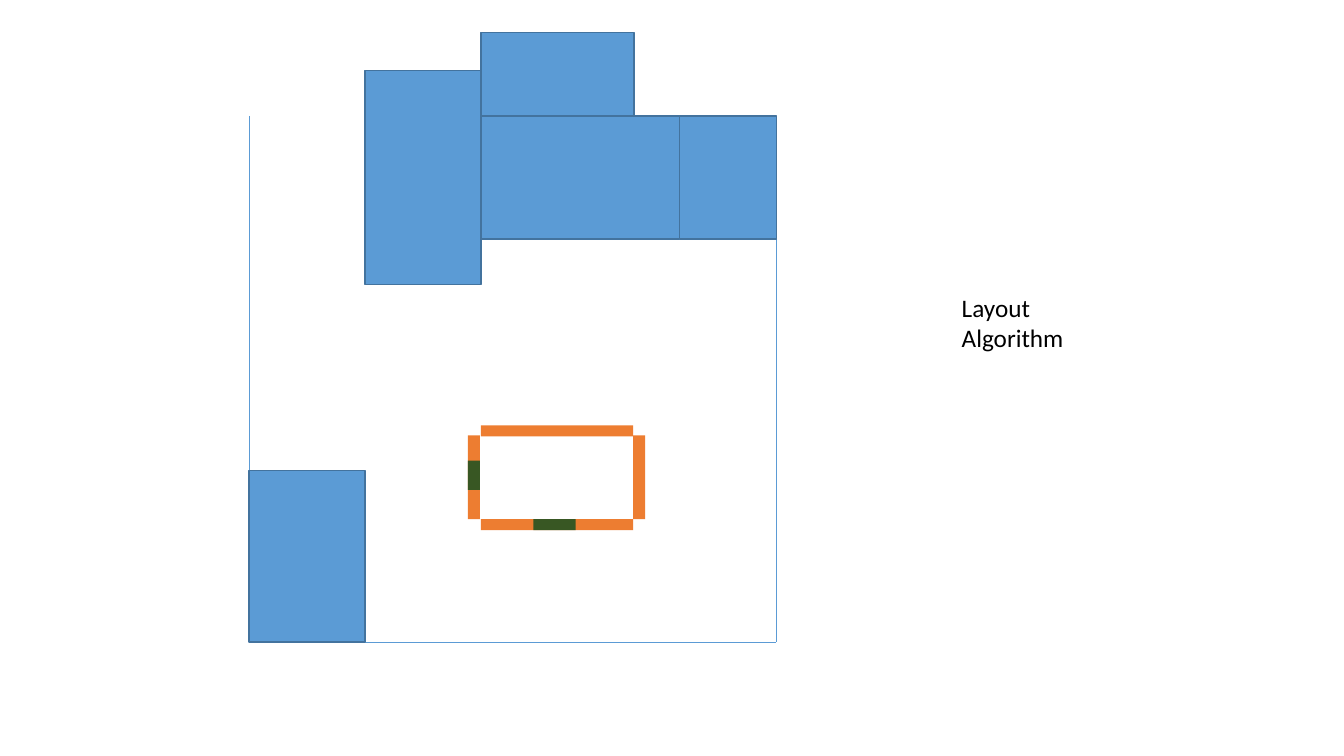
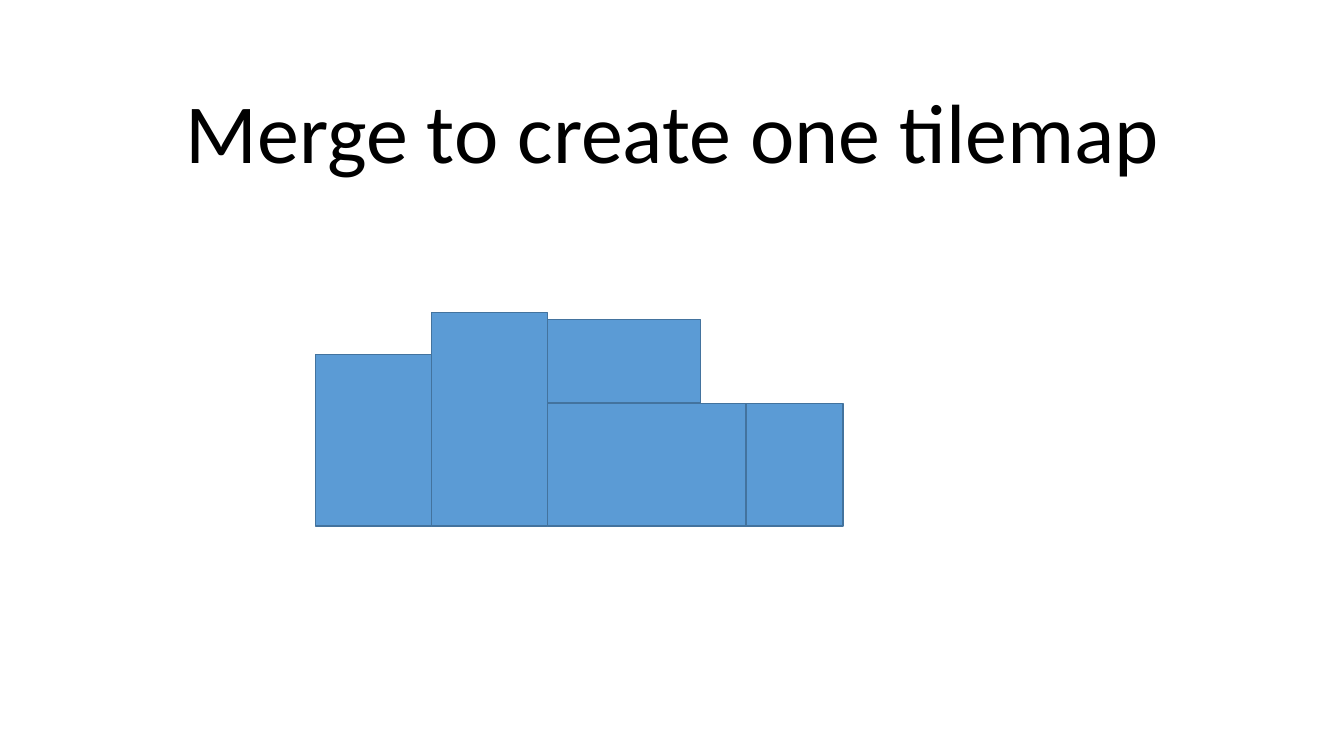
import dataclasses

import lxml.etree
import pptx
import pptx.dml.color
import pptx.enum.shapes
import pptx.enum.text
import pptx.oxml.ns
import pptx.util

EMU_PER_PX = 9144
SLIDE_WIDTH, SLIDE_HEIGHT = 1333, 750
TITLE_ONLY_LAYOUT, BLANK_LAYOUT = 5, 6

ROOMS = {
    "entrance": (247, 115, 170),
    "hall": (477, 197, 122),
    "annex": (674, 96, 122),
    "tower": (362, 115, 212),
    "loft": (477, 152, 83),
}


@dataclasses.dataclass(frozen=True)
class Theme:
    """Colours and type sizes shared by the slides."""

    room: str = "5B9BD5"
    room_edge: str = "43739E"
    wall: str = "ED7D31"
    door: str = "385723"
    text: str = "000000"
    font: str = "Calibri"
    title_size: int = 60
    label_size: int = 18
    room_edge_width: float = 1
    boundary_width: float = 0.5


THEME = Theme()


def px(length):
    """Turn px into EMU."""
    return pptx.util.Emu(length * EMU_PER_PX)


def color(value):
    """Turn a hex string into a colour."""
    return pptx.dml.color.RGBColor.from_string(value)


def set_line(line, value, width):
    """Give a line its colour and its width in points."""
    line.color.rgb = color(value)
    line.width = pptx.util.Pt(width)


def add_rectangle(slide, left, top, width, height, fill, edge=None):
    """Add a flat rectangle with an optional edge."""
    shape = slide.shapes.add_shape(
        pptx.enum.shapes.MSO_SHAPE.RECTANGLE, px(left), px(top), px(width), px(height)
    )
    shape.shadow.inherit = False
    shape.fill.solid()
    shape.fill.fore_color.rgb = color(fill)
    if edge:
        set_line(shape.line, edge, THEME.room_edge_width)
    else:
        shape.line.fill.background()


def add_rooms(slide, tops, shift=0):
    """Place every room at its top, shifted sideways."""
    for name, (left, width, height) in ROOMS.items():
        add_rectangle(
            slide, left + shift, tops[name], width, height, THEME.room, THEME.room_edge
        )


def add_boundary(slide, start, end):
    """Add a thin straight boundary line."""
    connector = slide.shapes.add_connector(
        pptx.enum.shapes.MSO_CONNECTOR.STRAIGHT, *map(px, start + end)
    )
    set_line(connector.line, THEME.room, THEME.boundary_width)
    lxml.etree.SubElement(connector.element.spPr, pptx.oxml.ns.qn("a:effectLst"))


def format_text(text_frame, size):
    """Give every run the theme font, colour and a size."""
    for paragraph in text_frame.paragraphs:
        for run in paragraph.runs:
            run.font.name = THEME.font
            run.font.size = pptx.util.Pt(size)
            run.font.color.rgb = color(THEME.text)


def add_label(slide, text, left, top, width, height):
    """Add an unwrapped label."""
    text_frame = slide.shapes.add_textbox(
        px(left), px(top), px(width), px(height)
    ).text_frame
    text_frame.text = text
    text_frame.word_wrap = False
    text_frame.auto_size = pptx.enum.text.MSO_AUTO_SIZE.SHAPE_TO_FIT_TEXT
    format_text(text_frame, THEME.label_size)


def set_title(slide, text):
    """Move, fill and format the title placeholder."""
    title = slide.shapes.title
    title.left, title.top, title.width, title.height = map(px, (92, 40, 1150, 145))
    text_frame = title.text_frame
    text_frame.text = text
    text_frame.word_wrap = True
    text_frame.auto_size = pptx.enum.text.MSO_AUTO_SIZE.NONE
    text_frame.vertical_anchor = pptx.enum.text.MSO_ANCHOR.BOTTOM
    paragraph = text_frame.paragraphs[0]
    paragraph.alignment = pptx.enum.text.PP_ALIGN.CENTER
    paragraph.line_spacing = 0.9
    format_text(text_frame, THEME.title_size)


def add_walled_room(slide):
    """Add the four walls of a room and its two doors."""
    walls = [
        (464, 432, 12, 83),
        (628, 432, 12, 83),
        (477, 515, 151, 11),
        (477, 422, 151, 11),
    ]
    doors = [(529, 515, 42, 11), (464, 457, 12, 29)]
    for fill, rectangles in ((THEME.wall, walls), (THEME.door, doors)):
        for rectangle in rectangles:
            add_rectangle(slide, *rectangle, fill)


def build_layout_slide(presentation):
    """Build the slide that lays the rooms out inside a boundary."""
    slide = presentation.slides.add_slide(presentation.slide_layouts[BLANK_LAYOUT])
    left, top, right, bottom = 247, 115, 770, 637
    add_boundary(slide, (left, top), (left, bottom))
    add_boundary(slide, (right, top), (right, bottom))
    add_boundary(slide, (left, bottom), (right, bottom))
    tops = {"entrance": 467, "hall": top, "annex": top, "tower": 70, "loft": 32}
    add_rooms(slide, tops)
    add_walled_room(slide)
    add_label(slide, "Layout\nAlgorithm", 944, 285, 122, 71)


def build_merge_slide(presentation):
    """Build the slide that merges the rooms on one floor line."""
    slide = presentation.slides.add_slide(presentation.slide_layouts[TITLE_ONLY_LAYOUT])
    set_title(slide, "Merge to create one tilemap")
    floor = 522
    tops = {name: floor - height for name, (_, _, height) in ROOMS.items()}
    tops["loft"] = tops["hall"] - ROOMS["loft"][2]
    add_rooms(slide, tops, shift=66)


def main():
    """Build and save the presentation."""
    presentation = pptx.Presentation()
    presentation.slide_width = px(SLIDE_WIDTH)
    presentation.slide_height = px(SLIDE_HEIGHT)
    build_layout_slide(presentation)
    build_merge_slide(presentation)
    presentation.save("out.pptx")


if __name__ == "__main__":
    main()
